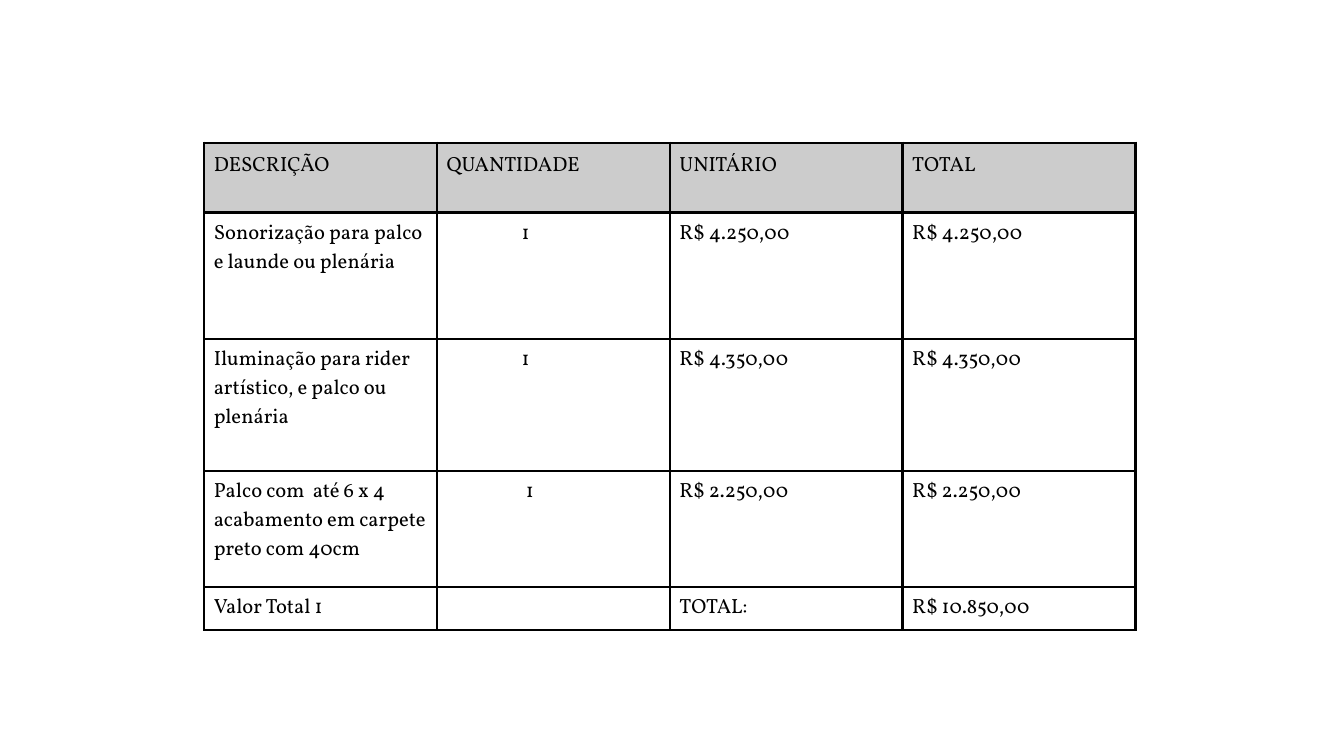
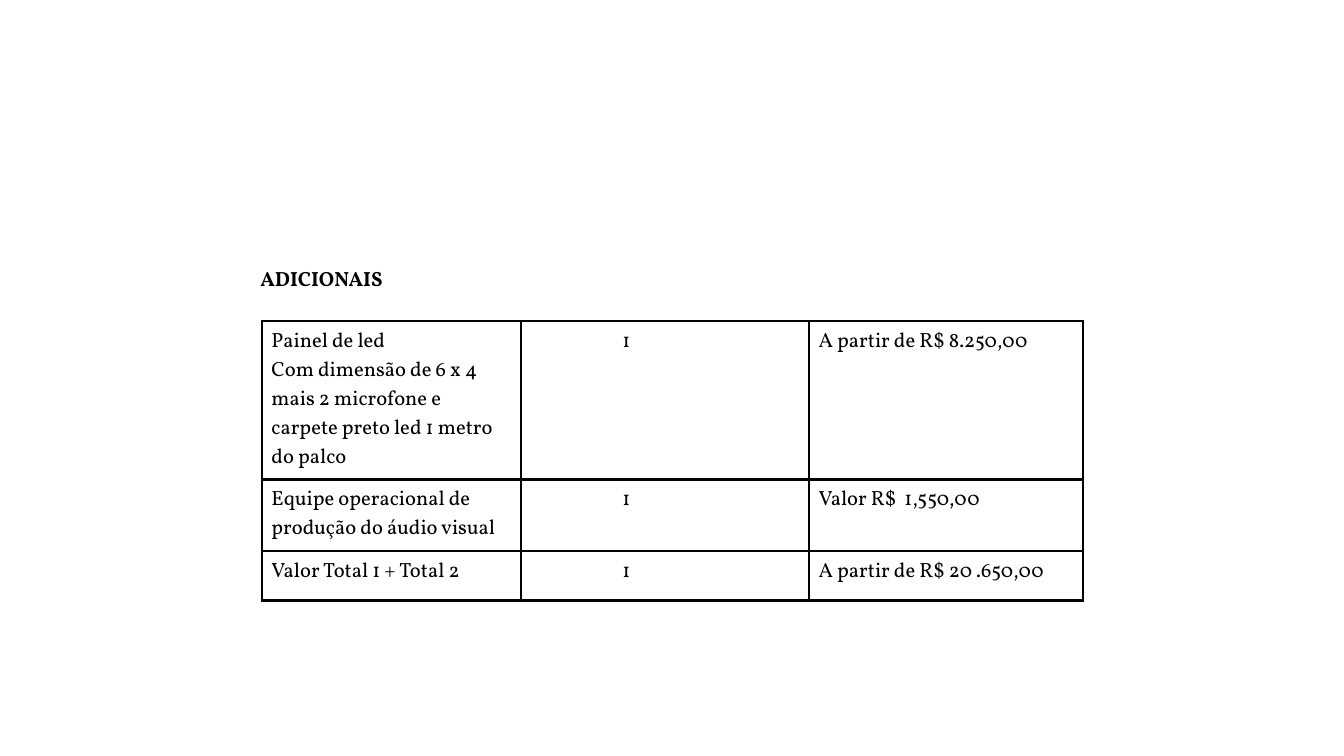
from lxml import etree
from pptx import Presentation, util as u
from pptx.dml import color
from pptx.enum import text
from pptx.oxml import ns

COLORS = {"ink": "000000", "header": "CCCCCC"}
FONT = {"name": "Vollkorn", "size": u.Pt(11)}
SPACED = {"line_spacing": 1.07, "space_after": u.Pt(8)}
CELL_MARGINS = {"margin_left": u.Cm(0.18), "margin_right": u.Cm(0.18),
                "margin_top": u.Cm(0.13), "margin_bottom": u.Cm(0.13)}
CAPTION_FRAME = {"margin_left": u.Cm(0.25), "margin_right": u.Cm(0.25),
                 "margin_top": u.Cm(0.25), "margin_bottom": u.Cm(0.25),
                 "word_wrap": True, "vertical_anchor": text.MSO_ANCHOR.MIDDLE}
BORDER_WIDTH = u.Pt(1.47)


def apply(target, values):
    for name, value in values.items():
        setattr(target, name, value)


def rgb(name):
    return color.RGBColor.from_string(COLORS[name])


class Budget:
    def __init__(self):
        self.deck = Presentation()
        apply(self.deck, {"slide_width": u.Cm(25.4), "slide_height": u.Cm(14.29)})
        self.slide = None

    def new_slide(self):
        self.slide = self.deck.slides.add_slide(self.deck.slide_layouts[6])

    def add_lines(self, frame, content, spacing=None, bold=False, indent=0):
        for number, line in enumerate(content.split("\n")):
            paragraph = frame.add_paragraph() if number else frame.paragraphs[0]
            apply(paragraph, spacing or {})
            if indent:
                paragraph._p.get_or_add_pPr().set("marL", str(u.Cm(indent)))
            if line:
                run = paragraph.add_run()
                run.text = line
                apply(run.font, {**FONT, "bold": bold})
                run.font.color.rgb = rgb("ink")
            else:
                blank = etree.SubElement(paragraph._p, ns.qn("a:endParaRPr"))
                blank.set("sz", str(int(FONT["size"].pt * 100)))

    def caption(self, content, left, top, width, height):
        box = self.slide.shapes.add_textbox(*map(u.Cm, (left, top, width, height)))
        apply(box.text_frame, CAPTION_FRAME)
        self.add_lines(box.text_frame, content, SPACED, bold=True)

    def border(self, cell):
        properties = cell._tc.get_or_add_tcPr()
        for side in ("lnL", "lnR", "lnT", "lnB"):
            line = etree.SubElement(properties, ns.qn(f"a:{side}"), w=str(BORDER_WIDTH))
            fill = etree.SubElement(line, ns.qn("a:solidFill"))
            etree.SubElement(fill, ns.qn("a:srgbClr"), val=COLORS["ink"])

    def table(self, items, left, top, widths, heights, indents, header=False):
        size = (left, top, sum(widths), sum(heights))
        table = self.slide.shapes.add_table(
            len(items), len(widths), *map(u.Cm, size)).table
        apply(table, {"first_row": header, "horz_banding": False})
        for column, width in zip(table.columns, widths):
            column.width = u.Cm(width)
        for row, height in zip(table.rows, heights):
            row.height = u.Cm(height)
        for r, item in enumerate(items):
            for c, content in enumerate(item):
                cell = table.cell(r, c)
                is_header = header and r == 0
                apply(cell, CELL_MARGINS)
                self.border(cell)
                if is_header:
                    cell.fill.solid()
                    cell.fill.fore_color.rgb = rgb("header")
                else:
                    cell.fill.background()
                self.add_lines(cell.text_frame, content, SPACED if is_header else None,
                               indent=indents[r] if c == 1 else 0)


def main():
    budget = Budget()

    budget.new_slide()
    services = [
        ("DESCRIÇÃO", "QUANTIDADE", "UNITÁRIO", "TOTAL"),
        ("Sonorização para palco e launde ou plenária", "1", "R$ 4.250,00", "R$ 4.250,00"),
        ("Iluminação para rider artístico, e palco ou plenária", "1",
         "R$ 4.350,00", "R$ 4.350,00"),
        ("Palco com  até 6 x 4 acabamento em carpete preto com 40cm", "1",
         "R$ 2.250,00", "R$ 2.250,00"),
        ("Valor Total 1", "", "TOTAL:", "R$ 10.850,00"),
    ]
    budget.table(services, 3.86, 2.7, [4.4] * 4, [1.32, 2.39, 2.49, 2.2, 0.8],
                 [0, 1.42, 1.42, 1.5, 0], header=True)

    budget.new_slide()
    budget.caption("ADICIONAIS", 4.67, 4.42, 8.33, 1.65)
    extras = [
        ("Painel de led\nCom dimensão de 6 x 4 mais 2 microfone e carpete preto "
         "led 1 metro do palco", "1", "A partir de R$ 8.250,00"),
        ("Equipe operacional de produção do áudio visual", "1", "Valor R$  1,550,00"),
        ("Valor Total 1 + Total 2", "1", "A partir de R$ 20 .650,00"),
    ]
    budget.table(extras, 4.95, 6.07, [4.9, 5.44, 5.18], [2.99, 1.35, 0.94], [1.73] * 3)

    budget.deck.save("out.pptx")


if __name__ == "__main__":
    main()
